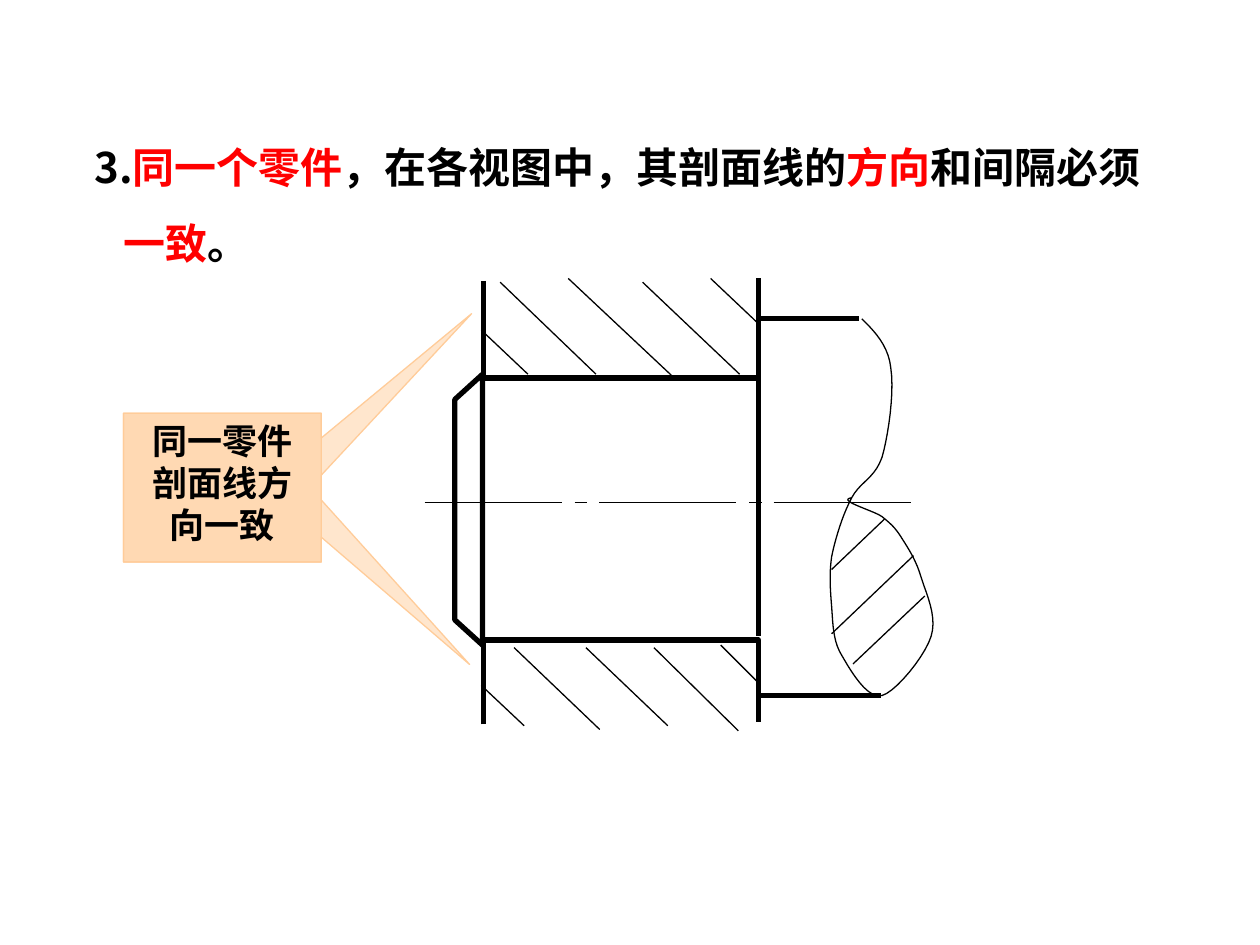
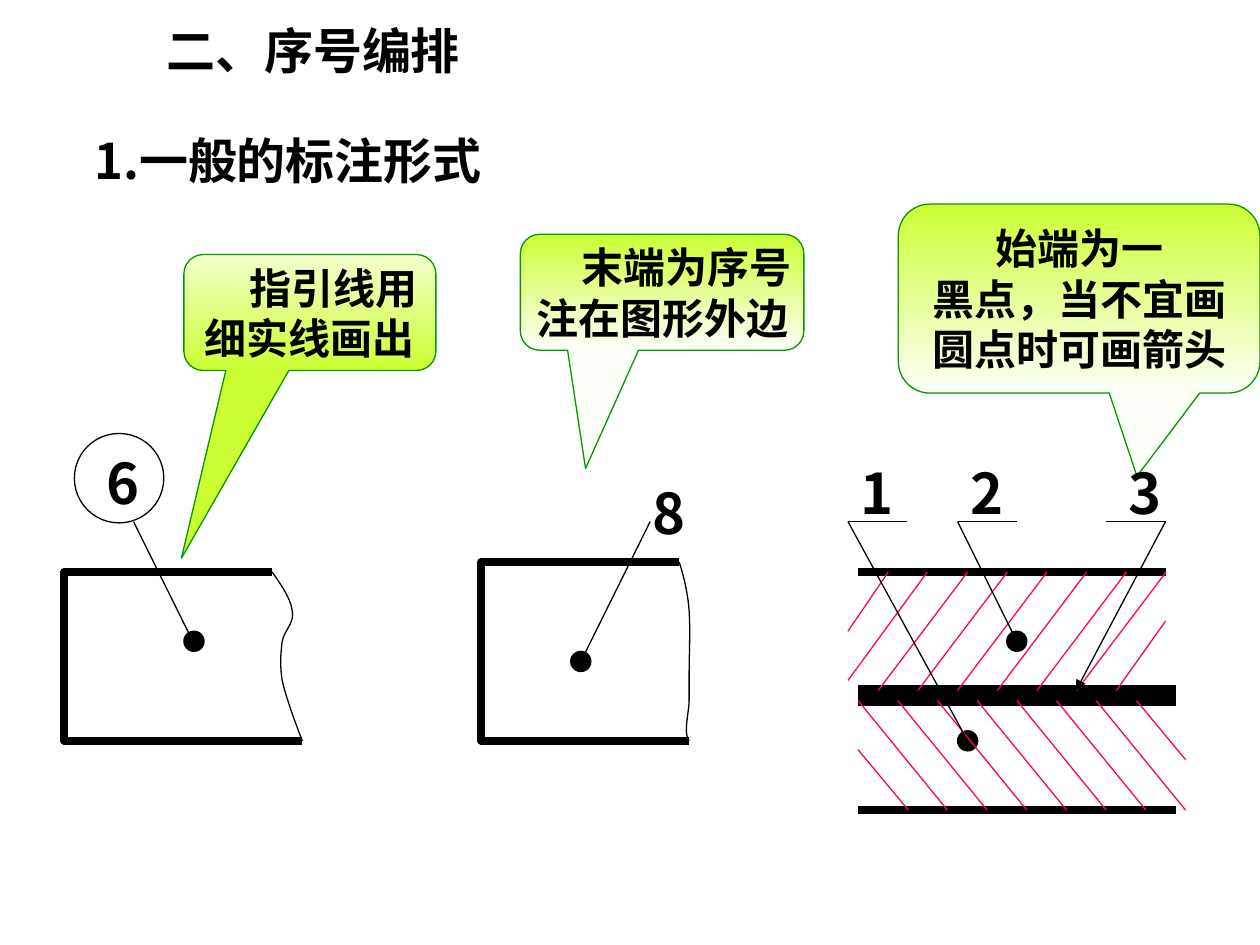
from dataclasses import dataclass
from typing import NamedTuple

from lxml import etree
from pptx import Presentation
from pptx.dml.color import RGBColor
from pptx.enum import shapes, text
from pptx.oxml import ns
from pptx.util import Inches, Pt

BLACK = RGBColor(0x00, 0x00, 0x00)
RED = RGBColor(0xFF, 0x00, 0x00)
PEACH = RGBColor(0xFF, 0xCC, 0x99)
GREEN = RGBColor(0x00, 0x99, 0x00)
LIME = RGBColor(0xCC, 0xFF, 0x33)
PALE_LIME = RGBColor(0xF2, 0xFF, 0xCB)
NEAR_WHITE = RGBColor(0xFD, 0xFF, 0xF9)
PINK = RGBColor(0xFF, 0x00, 0x66)

CJK = "Noto Sans CJK SC"
SERIF = "Times New Roman"
SANS = "Arial"
THIN, OUTLINE, EDGE, JOINT = 0.75, 3, 4.5, 6
DOT_SIZE = 0.16
CURVE_STEPS = 10

Point = tuple[float, float]


class Area(NamedTuple):
    left: float
    top: float
    width: float
    height: float


class Stroke(NamedTuple):
    x1: float
    y1: float
    x2: float
    y2: float
    width: float = THIN
    color: RGBColor = BLACK
    arrow: bool = False


class Span(NamedTuple):
    words: str
    color: RGBColor = BLACK


@dataclass
class Line:
    spans: list[Span]
    indent: float = 0
    before: float = 0


@dataclass
class Style:
    size: float
    font: str = CJK
    align: text.PP_ALIGN = text.PP_ALIGN.LEFT
    anchor: text.MSO_ANCHOR = text.MSO_ANCHOR.TOP
    side_inset: float = 0.1


@dataclass
class Bubble:
    area: Area
    tip: Point
    top_color: RGBColor
    bottom_color: RGBColor
    lines: list[Line]


HEADING = Style(28)
TITLE = Style(28, SERIF)
RULE = Style(24)
NUMBER = Style(32)
NOTE = Style(20, SANS, text.PP_ALIGN.CENTER)
BUBBLE = Style(24, SERIF, text.PP_ALIGN.CENTER, text.MSO_ANCHOR.MIDDLE, 0)


def plain(words: str, indent: float = 0) -> Line:
    return Line([Span(words)], indent)


def place(shape, area: Area) -> None:
    shape.left, shape.top, shape.width, shape.height = map(Inches, area)


def write(shape, lines: list[Line], style: Style) -> None:
    frame = shape.text_frame
    frame.word_wrap = True
    frame.auto_size = text.MSO_AUTO_SIZE.NONE
    frame.vertical_anchor = style.anchor
    frame.margin_left = frame.margin_right = Inches(style.side_inset)
    frame.margin_top = frame.margin_bottom = Inches(0.05)
    for index, line in enumerate(lines):
        para = frame.paragraphs[0] if index == 0 else frame.add_paragraph()
        para.alignment = style.align
        para.space_before = Pt(line.before)
        if line.indent:
            properties = para._p.get_or_add_pPr()
            properties.set("marL", str(Inches(line.indent)))
            properties.set("indent", "0")
        for span in line.spans:
            run = para.add_run()
            run.text = span.words
            run.font.size = Pt(style.size)
            run.font.bold = True
            run.font.name = style.font
            run.font.color.rgb = span.color
            east = etree.SubElement(run._r.get_or_add_rPr(), ns.qn("a:ea"))
            east.set("typeface", CJK)


def add_text(page, area: Area, words: str, style: Style) -> None:
    box = page.shapes.add_textbox(*map(Inches, area))
    write(box, [plain(words)], style)


def add_page(deck, area: Area, lines: list[Line], style: Style):
    page = deck.slides.add_slide(deck.slide_layouts[5])
    place(page.shapes.title, area)
    write(page.shapes.title, lines, style)
    return page


def add_stroke(page, stroke: Stroke) -> None:
    ends = map(Inches, stroke[:4])
    connector = page.shapes.add_connector(shapes.MSO_CONNECTOR.STRAIGHT, *ends)
    connector.line.width = Pt(stroke.width)
    connector.line.color.rgb = stroke.color
    properties = connector._element.spPr
    if stroke.arrow:
        head = etree.SubElement(properties.find(ns.qn("a:ln")), ns.qn("a:tailEnd"))
        head.set("type", "triangle")
    etree.SubElement(properties, ns.qn("a:effectLst"))


def add_strokes(page, strokes: list[Stroke]) -> None:
    for stroke in strokes:
        add_stroke(page, stroke)


def finish(shape, color: RGBColor, width: float) -> None:
    shape.shadow.inherit = False
    shape.line.color.rgb = color
    shape.line.width = Pt(width)


def add_outline(page, points: list[Point], width: float, close: bool = False) -> None:
    corners = [(Inches(x), Inches(y)) for x, y in points]
    builder = page.shapes.build_freeform(*corners[0])
    builder.add_line_segments(corners[1:], close=close)
    outline = builder.convert_to_shape()
    outline.fill.background()
    finish(outline, BLACK, width)


def add_curve(page, controls: list[Point]) -> None:
    points = [controls[0]]
    for start in range(0, len(controls) - 1, 3):
        a, b, c, d = controls[start:start + 4]
        for step in range(1, CURVE_STEPS + 1):
            t = step / CURVE_STEPS
            s = 1 - t
            weights = (s**3, 3 * s * s * t, 3 * s * t * t, t**3)
            points.append((sum(w * p[0] for w, p in zip(weights, (a, b, c, d))),
                           sum(w * p[1] for w, p in zip(weights, (a, b, c, d)))))
    add_outline(page, points, THIN)


def add_circle(page, area: Area, filled: bool) -> None:
    circle = page.shapes.add_shape(shapes.MSO_SHAPE.OVAL, *map(Inches, area))
    if filled:
        circle.fill.solid()
        circle.fill.fore_color.rgb = BLACK
    else:
        circle.fill.background()
    finish(circle, BLACK, THIN)


def add_dot(page, left: float, top: float) -> None:
    add_circle(page, Area(left, top, DOT_SIZE, DOT_SIZE), True)


def add_callout(page, kind: shapes.MSO_SHAPE, area: Area, tip: Point):
    callout = page.shapes.add_shape(kind, *map(Inches, area))
    callout.adjustments[0], callout.adjustments[1] = tip
    return callout


def add_note(page, tip: Point, lines: list[Line]) -> None:
    note = add_callout(page, shapes.MSO_SHAPE.RECTANGULAR_CALLOUT,
                       Area(0.98, 3.28, 1.57, 1.18), tip)
    note.fill.solid()
    note.fill.fore_color.rgb = PEACH
    color = note._element.spPr.find(ns.qn("a:solidFill"))[0]
    etree.SubElement(color, ns.qn("a:alpha")).set("val", "49000")
    finish(note, PEACH, THIN)
    if lines:
        write(note, lines, NOTE)


def add_bubble(page, bubble: Bubble) -> None:
    shape = add_callout(page, shapes.MSO_SHAPE.ROUNDED_RECTANGULAR_CALLOUT,
                        bubble.area, bubble.tip)
    shape.fill.gradient()
    shape.fill.gradient_angle = 270
    for stop, color in zip(shape.fill.gradient_stops, (bubble.top_color, bubble.bottom_color)):
        stop.color.rgb = color
    finish(shape, GREEN, THIN)
    write(shape, bubble.lines, BUBBLE)


def build_hatching_page(deck) -> None:
    rule = [
        Line([Span("3."), Span("同一个零件", RED), Span("，在各视图中，其剖面线的"),
              Span("方向", RED), Span("和间隔必须")]),
        Line([Span("一致", RED), Span("。")], 0.23, 15),
    ]
    page = add_page(deck, Area(0.65, 1.07, 9.08, 1.11), rule, RULE)
    add_note(page, (1.26, -1.17), [])
    add_note(page, (1.25, 1.19), [plain("同一零件剖面线方向一致")])

    axis, period = 3.99, 1.385
    for index in range(3):
        left = 3.37 + index * period
        add_stroke(page, Stroke(left, axis, left + 1.09, axis))
        if index < 2:
            add_stroke(page, Stroke(left + 1.19, axis, left + 1.29, axis))

    add_outline(page, [(3.84, 5.75), (3.84, 5.08), (6.02, 5.08), (6.02, 5.73)], OUTLINE)
    add_outline(page, [(3.84, 2.23), (3.84, 3), (6.02, 3), (6.02, 2.21)], OUTLINE)
    add_outline(page, [(3.83, 5.12), (3.61, 4.92), (3.61, 3.17), (3.83, 2.97)], OUTLINE, True)
    shaft_edges = [
        Stroke(6.03, 2.53, 6.82, 2.53, OUTLINE), Stroke(6.01, 5.52, 6.99, 5.52, OUTLINE),
        Stroke(6.02, 3, 6.02, 5.05, OUTLINE),
    ]
    upper_hatch = [
        Stroke(3.82, 2.62, 4.19, 2.97), Stroke(3.97, 2.24, 4.73, 2.97),
        Stroke(4.51, 2.21, 5.33, 2.98), Stroke(5.1, 2.24, 5.87, 2.97),
        Stroke(5.64, 2.21, 6.01, 2.56),
    ]
    lower_hatch = [
        Stroke(5.72, 5.12, 6.01, 5.41), Stroke(5.19, 5.14, 5.86, 5.8),
        Stroke(4.65, 5.14, 5.3, 5.76), Stroke(4.08, 5.14, 4.76, 5.79),
        Stroke(3.82, 5.44, 4.16, 5.76),
    ]
    shaft_hatch = [
        Stroke(7.02, 4.12, 6.6, 4.52), Stroke(7.25, 4.41, 6.6, 5.03),
        Stroke(7.34, 4.73, 6.77, 5.27),
    ]
    add_strokes(page, shaft_edges + upper_hatch + lower_hatch + shaft_hatch)
    add_curve(page, [
        (6.84, 2.53), (6.94, 2.63), (7.05, 2.74), (7.07, 2.92),
        (7.1, 3.11), (7.05, 3.46), (7, 3.63), (6.94, 3.8), (6.83, 3.82), (6.76, 3.95),
        (6.69, 4.08), (6.63, 4.27), (6.6, 4.42), (6.58, 4.56), (6.59, 4.68), (6.6, 4.81),
        (6.61, 4.94), (6.61, 5.09), (6.68, 5.2), (6.75, 5.32), (6.88, 5.55), (7, 5.52),
        (7.11, 5.49), (7.34, 5.21), (7.39, 5.05), (7.44, 4.89), (7.35, 4.71), (7.31, 4.58),
        (7.27, 4.44), (7.2, 4.34), (7.15, 4.26), (7.1, 4.18), (7.06, 4.15), (7, 4.1),
        (6.93, 4.05), (6.63, 3.97), (6.76, 3.95),
    ])


def build_numbering_page(deck) -> None:
    page = add_page(deck, Area(1.22, 0.11, 4.02, 0.57), [plain("二、序号编排")], TITLE)
    add_text(page, Area(0.65, 0.99, 4.11, 0.57), "1.一般的标注形式", HEADING)
    bubbles = [
        Bubble(Area(1.46, 2.02, 2, 0.92), (-0.51, 2.12), PALE_LIME, LIME,
               [plain("指引线用", 0.38), plain("细实线画出")]),
        Bubble(Area(4.13, 1.86, 2.25, 0.92), (-0.27, 1.52), LIME, NEAR_WHITE,
               [plain("末端为序号", 0.38), plain("注在图形外边")]),
        Bubble(Area(7.13, 1.62, 2.87, 1.5), (0.16, 0.94), LIME, NEAR_WHITE,
               [plain("始端为一"), plain("黑点，当不宜画"), plain("圆点时可画箭头")]),
    ]
    for bubble in bubbles:
        add_bubble(page, bubble)

    add_outline(page, [(2.16, 4.54), (0.51, 4.54), (0.51, 5.88), (2.4, 5.88)], EDGE)
    add_curve(page, [
        (2.16, 4.54), (2.24, 4.65), (2.31, 4.76), (2.32, 4.85),
        (2.34, 4.94), (2.26, 5), (2.24, 5.09), (2.23, 5.18), (2.22, 5.27), (2.24, 5.4),
        (2.27, 5.53), (2.33, 5.7), (2.4, 5.88),
    ])
    add_outline(page, [(5.39, 4.46), (3.82, 4.46), (3.82, 5.88), (5.47, 5.88)], EDGE)
    add_curve(page, [
        (5.39, 4.46), (5.43, 4.58), (5.46, 4.71), (5.47, 4.85),
        (5.48, 5), (5.47, 5.21), (5.47, 5.33), (5.47, 5.44), (5.47, 5.47), (5.47, 5.56),
        (5.47, 5.65), (5.42, 5.82), (5.47, 5.88),
    ])
    add_circle(page, Area(0.59, 3.44, 0.71, 0.71), False)
    for left, top in [(1.46, 5.01), (4.53, 5.17), (7.99, 5.01), (7.6, 5.8)]:
        add_dot(page, left, top)

    top, joint_top, joint_bottom, bottom = 4.54, 5.48, 5.56, 6.43
    pitch, lean = 0.315, 0.71
    plates = [
        Stroke(6.81, joint_bottom, 9.33, joint_bottom, JOINT),
        Stroke(6.81, top, 9.25, top, EDGE),
        Stroke(6.81, joint_top, 9.33, joint_top, JOINT),
        Stroke(6.81, bottom, 9.33, bottom, EDGE),
    ]
    upper_starts = [7.68 + index * pitch for index in range(6)]
    lower_starts = [6.81 + index * pitch for index in range(7)]
    hatch = [(x, top, x - lean, joint_top) for x in upper_starts]
    hatch += [(x, joint_bottom, x + lean, bottom) for x in lower_starts]
    hatch += [
        (7.36, top, 6.73, 5.4), (7.05, top, 6.73, 5.01), (9.25, 4.93, 8.86, joint_top),
        (9.02, joint_bottom, 9.41, 6.03), (6.81, 5.95, 7.21, bottom),
    ]
    shelf = 4.14
    leaders = [
        Stroke(1.53, 5.09, 1.06, shelf), Stroke(4.61, 5.25, 5.16, shelf),
        Stroke(7.68, 5.88, 6.73, shelf), Stroke(6.73, shelf, 7.2, shelf),
        Stroke(8.07, 5.09, 7.6, shelf), Stroke(7.6, shelf, 8.07, shelf),
        Stroke(9.25, shelf, 8.54, joint_top, arrow=True), Stroke(8.78, shelf, 9.25, shelf),
    ]
    add_strokes(page, plates + [Stroke(*ends, color=PINK) for ends in hatch] + leaders)

    numbers = [("6", 0.75, 3.51), ("8", 5.08, 3.75), ("1", 6.73, 3.59),
               ("2", 7.6, 3.59), ("3", 8.86, 3.59)]
    for number, left, number_top in numbers:
        add_text(page, Area(left, number_top, 0.39, 0.64), number, NUMBER)


def main() -> None:
    deck = Presentation()
    deck.slide_width, deck.slide_height = Inches(10), Inches(7.5)
    build_hatching_page(deck)
    build_numbering_page(deck)
    deck.save("out.pptx")


if __name__ == "__main__":
    main()
